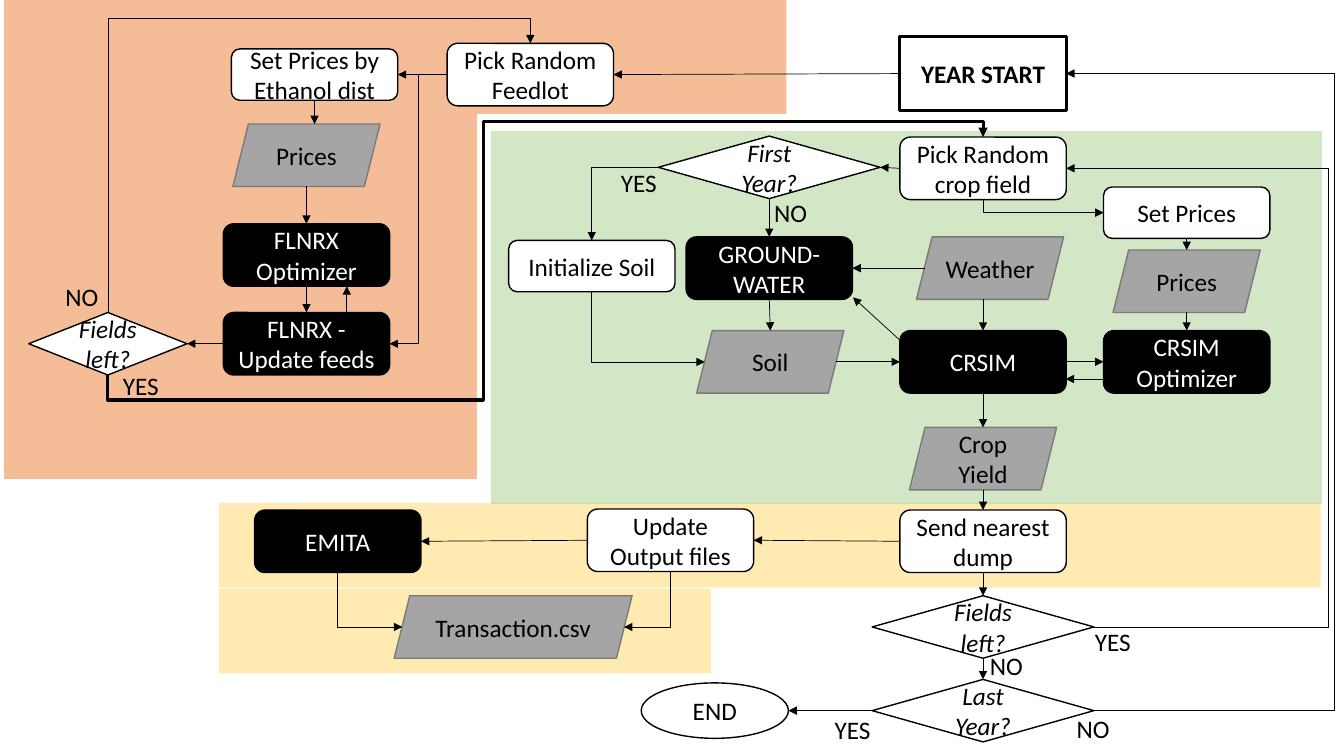
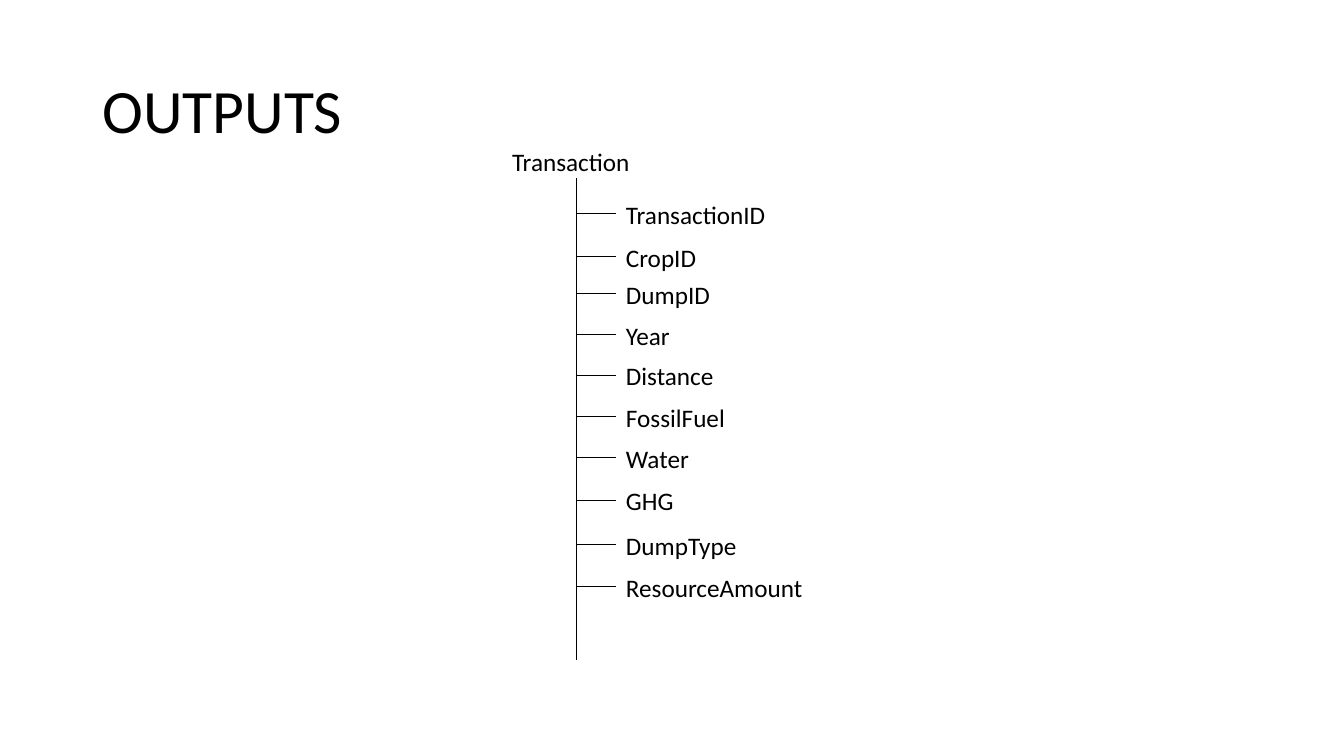
from dataclasses import dataclass
from typing import NamedTuple

from pptx import Presentation
from pptx.dml.color import RGBColor
from pptx.enum.shapes import MSO_CONNECTOR as Link, MSO_SHAPE as Preset
from pptx.enum.text import MSO_ANCHOR as Anchor, PP_ALIGN as Align
from pptx.oxml.ns import qn
from pptx.oxml.xmlchemy import OxmlElement
from pptx.slide import Slide
from pptx.text.text import TextFrame
from pptx.util import Inches, Pt

# Shared look
BLACK = RGBColor(0x00, 0x00, 0x00)
WHITE = RGBColor(0xFF, 0xFF, 0xFF)
GREY = RGBColor(0xA5, 0xA5, 0xA5)
DARK_GREY = RGBColor(0x7A, 0x7A, 0x7A)
YELLOW = RGBColor(0xFF, 0xD9, 0x66)
GREEN = RGBColor(0xA9, 0xD1, 0x8E)
ORANGE = RGBColor(0xED, 0x7D, 0x31)
FONT = "Calibri"
BODY_SIZE, TITLE_SIZE = 18, 44
THIN, MEDIUM, THICK = 0.5, 1, 2.25
LABEL_HEIGHT = 0.4


class Point(NamedTuple):
    x: float
    y: float


class Style(NamedTuple):
    preset: Preset
    width: float
    height: float
    fill: RGBColor = WHITE
    line: RGBColor = BLACK
    weight: float = MEDIUM
    ink: RGBColor = BLACK
    bold: bool = False
    italic: bool = False
    side_inset: float = 0


class Band(NamedTuple):
    left: float
    top: float
    width: float
    height: float
    color: RGBColor


class Label(NamedTuple):
    text: str
    left: float
    top: float


class Route(NamedTuple):
    points: list[Point]
    weight: float = THIN


@dataclass(frozen=True)
class Node:
    text: str
    style: Style
    x: float  # centre
    y: float

    @property
    def top(self) -> Point:
        return Point(self.x, self.y - self.style.height / 2)

    @property
    def bottom(self) -> Point:
        return Point(self.x, self.y + self.style.height / 2)

    @property
    def left(self) -> Point:
        return Point(self.x - self.style.width / 2 + self.style.side_inset, self.y)

    @property
    def right(self) -> Point:
        return Point(self.x + self.style.width / 2 - self.style.side_inset, self.y)


# Node styles
START = Style(Preset.RECTANGLE, 1.65, 0.74, weight=THICK, bold=True)
STEP = Style(Preset.ROUNDED_RECTANGLE, 1.65, 0.62)
LOW_STEP = STEP._replace(height=0.51)
MODEL = STEP._replace(fill=BLACK, ink=WHITE)
DATA = Style(Preset.PARALLELOGRAM, 1.46, 0.62, GREY, DARK_GREY, side_inset=0.08)
WIDE_DATA = DATA._replace(width=2.36)
CHOICE = Style(Preset.DIAMOND, 2.2, 0.62, italic=True)
SMALL_CHOICE = CHOICE._replace(width=1.57)
FINISH = Style(Preset.OVAL, 1.46, 0.55)


def write(frame: TextFrame, text: str, size: float = BODY_SIZE, color: RGBColor = BLACK,
          bold: bool = False, italic: bool = False, align: Align = Align.LEFT) -> None:
    para = frame.paragraphs[0]
    para.alignment = align
    span = para.add_run()
    span.text = text
    font = span.font
    font.name, font.size, font.color.rgb = FONT, Pt(size), color
    font.bold, font.italic = bold, italic


def add_text(page: Slide, text: str, left: float, top: float, width: float,
             height: float = LABEL_HEIGHT, size: float = BODY_SIZE, wrap: bool = True) -> TextFrame:
    box = page.shapes.add_textbox(Inches(left), Inches(top), Inches(width), Inches(height))
    box.text_frame.word_wrap = wrap
    write(box.text_frame, text, size)
    return box.text_frame


def add_band(page: Slide, band: Band) -> None:
    box = page.shapes.add_shape(Preset.RECTANGLE, *map(Inches, band[:4]))
    box.shadow.inherit = False
    box.line.fill.background()
    box.fill.solid()
    box.fill.fore_color.rgb = band.color
    alpha = OxmlElement("a:alpha")
    alpha.set("val", "50000")
    box._element.spPr.find(f".//{qn('a:srgbClr')}").append(alpha)


def add_node(page: Slide, node: Node) -> None:
    style = node.style
    box = page.shapes.add_shape(
        style.preset, Inches(node.x - style.width / 2), Inches(node.y - style.height / 2),
        Inches(style.width), Inches(style.height))
    box.shadow.inherit = False
    box.fill.solid()
    box.fill.fore_color.rgb = style.fill
    box.line.color.rgb, box.line.width = style.line, Pt(style.weight)
    box.text_frame.vertical_anchor = Anchor.MIDDLE
    write(box.text_frame, node.text, color=style.ink, bold=style.bold,
          italic=style.italic, align=Align.CENTER)


def add_route(page: Slide, route: Route, arrow: bool = True) -> None:
    """Draw a straight line, or an elbow whose bends follow the inner points."""
    start, *bends, end = route.points
    upright = bool(bends) and abs(bends[0].x - start.x) < 0.01

    def local(point: Point) -> Point:
        dx, dy = point.x - start.x, point.y - start.y
        return Point(dy, -dx) if upright else Point(dx, dy)

    span = local(end)
    middle = Point((start.x + end.x) / 2, (start.y + end.y) / 2)
    line = page.shapes.add_connector(
        Link.ELBOW if bends else Link.STRAIGHT,
        Inches(middle.x - span.x / 2), Inches(middle.y - span.y / 2),
        Inches(middle.x + span.x / 2), Inches(middle.y + span.y / 2))
    line.line.color.rgb, line.line.width = BLACK, Pt(route.weight)
    properties = line._element.spPr
    if bends:
        line.rotation = 90 if upright else 0
        geometry = properties.find(qn("a:prstGeom"))
        geometry.set("prst", f"bentConnector{len(bends) + 1}")
        ratios = []
        if len(bends) > 1:
            ratios.append(local(bends[0]).x / span.x)
        if len(bends) == 4:
            ratios += [local(bends[1]).y / span.y, local(bends[3]).x / span.x]
        for number, ratio in enumerate(ratios, 1):
            guide = OxmlElement("a:gd")
            guide.set("name", f"adj{number}")
            guide.set("fmla", f"val {round(ratio * 100000)}")
            geometry.get_or_add_avLst().append(guide)
    if arrow:
        tail = OxmlElement("a:tailEnd")
        tail.set("type", "triangle")
        line.line._get_or_add_ln().append(tail)
    properties.append(OxmlElement("a:effectLst"))


def straight(start: Point, end: Point) -> Route:
    return Route([start, end])


def corner(start: Point, end: Point, across_first: bool = False) -> Route:
    bend = Point(end.x, start.y) if across_first else Point(start.x, end.y)
    return Route([start, bend, end])


def detour(start: Point, x: float, end: Point) -> Route:
    return Route([start, Point(x, start.y), Point(x, end.y), end])


def build_flowchart(page: Slide) -> None:
    # Coloured zones
    for band in (
        Band(2.17, 5.84, 4.88, 0.84, YELLOW),
        Band(2.17, 4.99, 10.93, 0.84, YELLOW),
        Band(4.87, 1.3, 8.24, 3.7, GREEN),
        Band(0.04, 0, 4.69, 4.75, ORANGE),
        Band(4.73, 0, 3.07, 1.13, ORANGE),
    ):
        add_band(page, band)

    # Nodes, by column centre
    main, water, soil_column, price, feed = 9.75, 7.63, 5.87, 11.77, 3.04
    nodes = (
        year_start := Node("YEAR START", START, main, 0.73),
        pick_field := Node("Pick Random crop field", STEP, main, 1.67),
        weather := Node("Weather", DATA, 9.82, 2.66),
        crop_model := Node("CRSIM", MODEL, main, 3.59),
        crop_yield := Node("Crop Yield", DATA, main, 4.55),
        send := Node("Send nearest dump", STEP, main, 5.37),
        more_fields := Node("Fields left?", CHOICE, main, 6.22),
        last_year := Node("Last Year?", CHOICE, main, 7.05),
        end := Node("END", FINISH, 7.09, 7.05),
        first_year := Node("First Year?", CHOICE, water, 1.66),
        groundwater := Node("GROUND-WATER", MODEL, water, 2.66),
        soil := Node("Soil", DATA, water + 0.01, 3.59),
        init_soil := Node("Initialize Soil", LOW_STEP, soil_column, 2.64),
        set_prices := Node("Set Prices", LOW_STEP, price, 2.11),
        crop_prices := Node("Prices", DATA, price, 2.79),
        crop_optimizer := Node("CRSIM Optimizer", MODEL, price, 3.59),
        pick_feedlot := Node("Pick Random Feedlot", STEP, 5.26, 0.74),
        ethanol := Node("Set Prices by Ethanol dist", LOW_STEP, 3.12, 0.74),
        feed_prices := Node("Prices", DATA, feed, 1.54),
        feed_optimizer := Node("FLNRX Optimizer", MODEL, feed, 2.53),
        update_feeds := Node("FLNRX - Update feeds", MODEL, feed, 3.41),
        feeds_left := Node("Fields left?", SMALL_CHOICE, 1.07, 3.41),
        emissions := Node("EMITA", MODEL, 3.35, 5.37),
        outputs := Node("Update Output files", STEP, 6.65, 5.36),
        transaction := Node("Transaction.csv", WIDE_DATA, 5.09, 6.22),
    )
    for node in nodes:
        add_node(page, node)

    # Arrows
    routes = [straight(upper.bottom, lower.top) for upper, lower in (
        (crop_model, crop_yield), (crop_yield, send), (send, more_fields),
        (more_fields, last_year), (first_year, groundwater), (groundwater, soil),
        (set_prices, crop_prices), (crop_prices, crop_optimizer),
        (feed_prices, feed_optimizer), (feed_optimizer, update_feeds))]
    routes += [straight(source.left, target.right) for source, target in (
        (send, outputs), (outputs, emissions), (last_year, end), (pick_field, first_year),
        (weather, groundwater), (year_start, pick_feedlot), (pick_feedlot, ethanol),
        (update_feeds, feeds_left))]
    routes += [
        straight(soil.right, crop_model.left),
        straight(crop_model.right, crop_optimizer.left),
        straight(Point(10.95, 3.76), Point(10.57, 3.76)),
        straight(Point(main, weather.bottom.y), crop_model.top),
        straight(Point(8.92, 3.37), Point(8.46, 2.95)),
        straight(Point(3.44, 3.1), Point(3.44, 2.84)),
        straight(ethanol.bottom, Point(3.12, 1.23)),
        corner(first_year.left, init_soil.top, across_first=True),
        corner(init_soil.bottom, soil.left),
        corner(pick_field.bottom, set_prices.left),
        corner(emissions.bottom, transaction.left),
        corner(outputs.bottom, transaction.right),
        detour(more_fields.right, 13.18, pick_field.right),
        detour(last_year.right, 13.24, year_start.right),
        detour(pick_feedlot.left, 4.15, update_feeds.right),
        Route([feeds_left.top, Point(1.07, 0.18), Point(5.26, 0.18), pick_feedlot.top]),
        Route([feeds_left.bottom, Point(1.07, 3.97), Point(4.79, 3.97),
               Point(4.79, 1.21), Point(main, 1.21), pick_field.top], THICK),
    ]
    for route in routes:
        add_route(page, route)

    # Answers beside the decisions
    for label in (
        Label("YES", 10.76, 6.16), Label("YES", 8.18, 7.04), Label("YES", 1.12, 3.62),
        Label("YES", 6.06, 1.61), Label("NO", 0.55, 2.74), Label("NO", 9.72, 6.4),
        Label("NO", 10.58, 7.03), Label("NO", 7.58, 1.91),
    ):
        add_text(page, *label, width=0.56 if label.text == "YES" else 0.53, wrap=False)


def build_outputs(page: Slide) -> None:
    # Title and tree trunk
    title = add_text(page, "OUTPUTS", 0.92, 0.4, 11.5, 1.45, TITLE_SIZE)
    title.vertical_anchor = Anchor.MIDDLE
    title.paragraphs[0].line_spacing = 0.9
    trunk, twig_end = 5.72, 6.11
    add_text(page, "Transaction", 4.98, 1.4, 1.49)
    add_route(page, straight(Point(trunk, 6.55), Point(trunk, 1.77)), arrow=False)

    # One twig per field
    fields = {"TransactionID": 2.12, "CropID": 2.54, "DumpID": 2.91, "Year": 3.32,
              "Distance": 3.72, "FossilFuel": 4.13, "Water": 4.54, "GHG": 4.96,
              "DumpType": 5.4, "ResourceAmount": 5.82}
    for name, y in fields.items():
        add_route(page, straight(Point(twig_end, y), Point(trunk, y)), arrow=False)
        add_text(page, name, twig_end, y - 0.19, 2.09)


def main() -> None:
    deck = Presentation()
    deck.slide_width, deck.slide_height = Inches(13.33), Inches(7.5)
    for build in (build_flowchart, build_outputs):
        build(deck.slides.add_slide(deck.slide_layouts[6]))
    deck.save("out.pptx")


if __name__ == "__main__":
    main()
